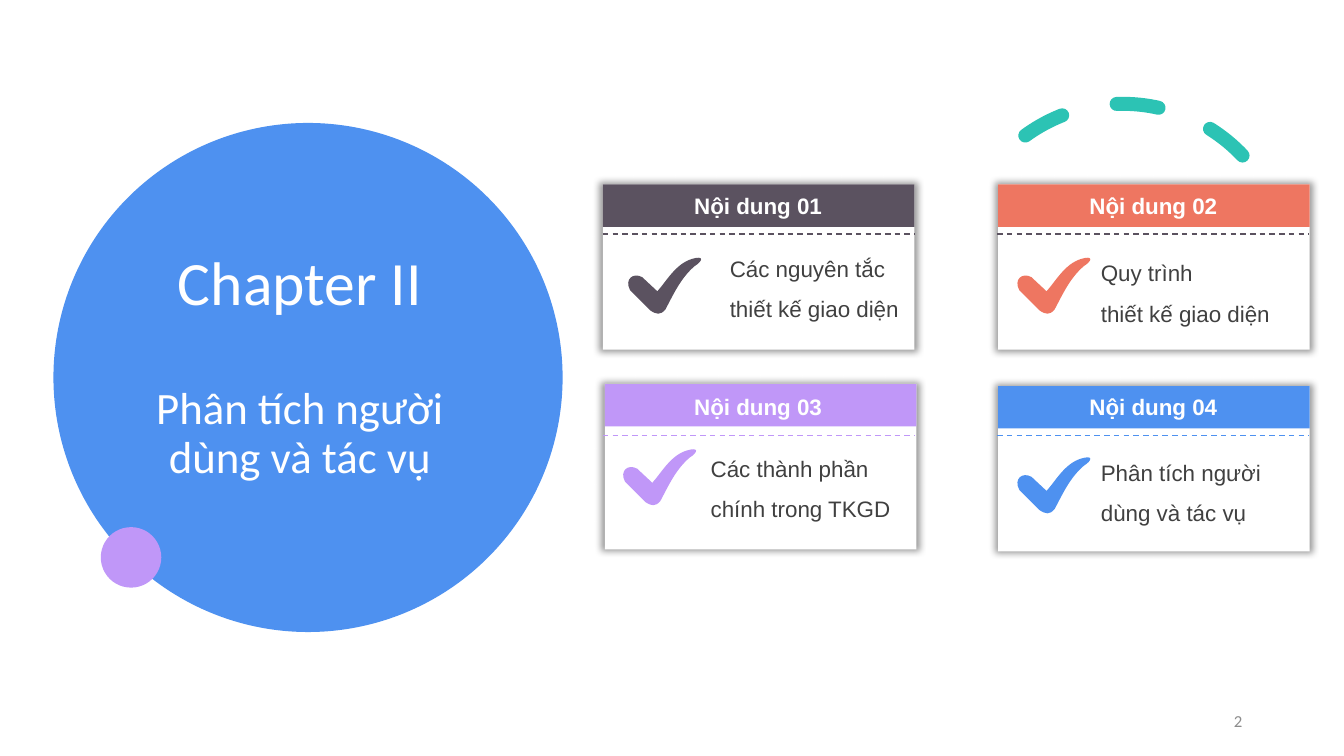
from dataclasses import dataclass

from lxml import etree
from pptx import Presentation
from pptx.dml.color import RGBColor
from pptx.enum import dml, shapes, text
from pptx.oxml import ns
from pptx.util import Inches, Pt

BLUE, PURPLE, CORAL, TEAL = "4E91F0", "C097F8", "EE7661", "2CC3B4"
PLUM, WHITE, DARK, GRAY = "5B5260", "FFFFFF", "404040", "8C8C8C"
CARD_WIDTH, CARD_HEIGHT, HEADER_HEIGHT = 3.09, 1.64, 0.42

CHECK_WIDTH, CHECK_HEIGHT = 72, 55
CHECK_START = (29, 33)
CHECK_SEGMENTS = [
    [(14, 19)],
    [(5, 14), (-4, 21), (2, 32)],
    [(22, 52)],
    [(28, 56), (32, 57), (37, 51)],
    [(45, 36), (52, 20), (66, 8)],
    [(74, 3), (76, -3), (63, 1)],
    [(47, 6), (38, 23), CHECK_START],
]


@dataclass
class Card:
    heading: str
    lines: list[str]
    color: str
    rule_color: str
    left: float
    top: float
    rule_left: float
    rule_top: float
    heading_left: float
    check: tuple[float, float]
    body: tuple[float, float, float]


@dataclass
class Line:
    wording: str
    size: float
    color: str
    font: str = "Arial"
    bold: bool = False
    align: text.PP_ALIGN = text.PP_ALIGN.LEFT
    spacing: float = 1.0
    before: float = 0


CARDS = [
    Card("Nội dung 01", ["Các nguyên tắc thiết kế giao diện"], PLUM, PLUM,
         5.98, 1.83, 5.98, 2.32, 6.52, (6.23, 2.56), (7.14, 2.37, 1.93)),
    Card("Nội dung 02", ["Quy trình", "thiết kế giao diện"], CORAL, PLUM,
         9.9, 1.83, 9.89, 2.32, 10.44, (10.09, 2.56), (10.82, 2.41, 2.15)),
    Card("Nội dung 03", ["Các thành phần chính trong TKGD"], PURPLE, PURPLE,
         6, 3.81, 5.98, 4.32, 6.52, (6.18, 4.46), (6.95, 4.35, 2.12)),
    Card("Nội dung 04", ["Phân tích người dùng và tác vụ"], BLUE, BLUE,
         9.9, 3.83, 9.89, 4.32, 10.44, (10.09, 4.54), (10.82, 4.39, 2.15)),
]


def rgb(color: str) -> RGBColor:
    return RGBColor.from_string(color)


def paint(shape, color: str) -> None:
    shape.shadow.inherit = False
    shape.fill.solid()
    shape.fill.fore_color.rgb = rgb(color)
    shape.line.fill.background()


def add_filled(kind, left: float, top: float, width: float, height: float, color: str):
    shape = slide.shapes.add_shape(kind, Inches(left), Inches(top), Inches(width), Inches(height))
    paint(shape, color)
    return shape


def add_soft_shadow(shape) -> None:
    effects = shape._element.spPr.find(ns.qn("a:effectLst"))
    shadow = etree.SubElement(effects, ns.qn("a:outerShdw"), blurRad=str(Pt(5)),
                              sx="102000", sy="102000", algn="ctr", rotWithShape="0")
    color = etree.SubElement(shadow, ns.qn("a:srgbClr"), val="000000")
    etree.SubElement(color, ns.qn("a:alpha"), val="40000")


def add_text(left: float, top: float, width: float, height: float, lines: list[Line]) -> None:
    box = slide.shapes.add_textbox(Inches(left), Inches(top), Inches(width), Inches(height))
    frame = box.text_frame
    frame.word_wrap = True
    frame.vertical_anchor = text.MSO_ANCHOR.MIDDLE
    for index, line in enumerate(lines):
        paragraph = frame.add_paragraph() if index else frame.paragraphs[0]
        paragraph.alignment = line.align
        paragraph.line_spacing = line.spacing
        paragraph.space_before = Pt(line.before)
        run = paragraph.add_run()
        run.text = line.wording
        run.font.name = line.font
        run.font.size = Pt(line.size)
        run.font.bold = line.bold
        run.font.color.rgb = rgb(line.color)


def add_arc() -> None:
    arc = slide.shapes.add_shape(shapes.MSO_SHAPE.ARC, Inches(9.5), Inches(1.03), Inches(3.27), Inches(3.27))
    arc.adjustments[0], arc.adjustments[1] = 158.174, 17.814
    arc.rotation = 330.2
    arc.shadow.inherit = False
    arc.fill.background()
    arc.line.color.rgb = rgb(TEAL)
    arc.line.width = Pt(10)
    arc.line.dash_style = dml.MSO_LINE.DASH
    arc.line._get_or_add_ln().set("cap", "rnd")


def add_rule(left: float, top: float, color: str) -> None:
    rule = slide.shapes.add_connector(shapes.MSO_CONNECTOR.STRAIGHT, Inches(left), Inches(top),
                                      Inches(left + CARD_WIDTH), Inches(top))
    rule.line.color.rgb = rgb(color)
    rule.line.width = Pt(1)
    rule.line.dash_style = dml.MSO_LINE.DASH
    etree.SubElement(rule._element.spPr, ns.qn("a:effectLst"))


def add_command(outline, tag: str, points: list[tuple[int, int]]) -> None:
    command = etree.SubElement(outline, ns.qn(tag))
    for x, y in points:
        etree.SubElement(command, ns.qn("a:pt"), x=str(x), y=str(y))


def add_check(left: float, top: float, color: str) -> None:
    builder = slide.shapes.build_freeform(*CHECK_START)
    builder.add_line_segments([segment[-1] for segment in CHECK_SEGMENTS])
    check = builder.convert_to_shape()
    check.left, check.top = Inches(left), Inches(top)
    check.width, check.height = Inches(CHECK_WIDTH / 100), Inches(CHECK_HEIGHT / 100)
    outline = next(check._element.iter(ns.qn("a:path")))
    for command in list(outline):
        outline.remove(command)
    outline.set("w", str(CHECK_WIDTH))
    outline.set("h", str(CHECK_HEIGHT))
    add_command(outline, "a:moveTo", [CHECK_START])
    for segment in CHECK_SEGMENTS:
        add_command(outline, "a:lnTo" if len(segment) == 1 else "a:cubicBezTo", segment)
    add_command(outline, "a:close", [])
    paint(check, color)


def add_card(card: Card) -> None:
    rectangle = shapes.MSO_SHAPE.RECTANGLE
    panel = add_filled(rectangle, card.left, card.top, CARD_WIDTH, CARD_HEIGHT, WHITE)
    add_soft_shadow(panel)
    add_filled(rectangle, card.left, card.top, CARD_WIDTH, HEADER_HEIGHT, card.color)
    add_rule(card.rule_left, card.rule_top, card.rule_color)
    add_check(*card.check, card.color)
    add_text(*card.body, 0.86, [Line(wording, 16, DARK, spacing=1.5) for wording in card.lines])
    add_text(card.heading_left, card.rule_top - 0.47, 2, 0.37,
             [Line(card.heading, 16, WHITE, bold=True, align=text.PP_ALIGN.CENTER)])


presentation = Presentation()
presentation.slide_width, presentation.slide_height = Inches(13.33), Inches(7.5)
slide = presentation.slides.add_slide(presentation.slide_layouts[6])

add_filled(shapes.MSO_SHAPE.OVAL, 0.53, 1.22, 5.05, 5.05, BLUE)
add_arc()
add_filled(shapes.MSO_SHAPE.OVAL, 1, 5.23, 0.6, 0.6, PURPLE)
add_text(9.42, 6.95, 3, 0.4, [Line("2", 12, GRAY, "Calibri", align=text.PP_ALIGN.RIGHT)])
for card in CARDS:
    add_card(card)
add_text(1.13, 1.42, 3.69, 4.45, [
    Line("Chapter II", 44, WHITE, "Calibri", align=text.PP_ALIGN.CENTER, spacing=0.9),
    Line("Phân tích người dùng và tác vụ", 32, WHITE, "Calibri", align=text.PP_ALIGN.CENTER,
         spacing=0.9, before=48),
])

presentation.save("out.pptx")
